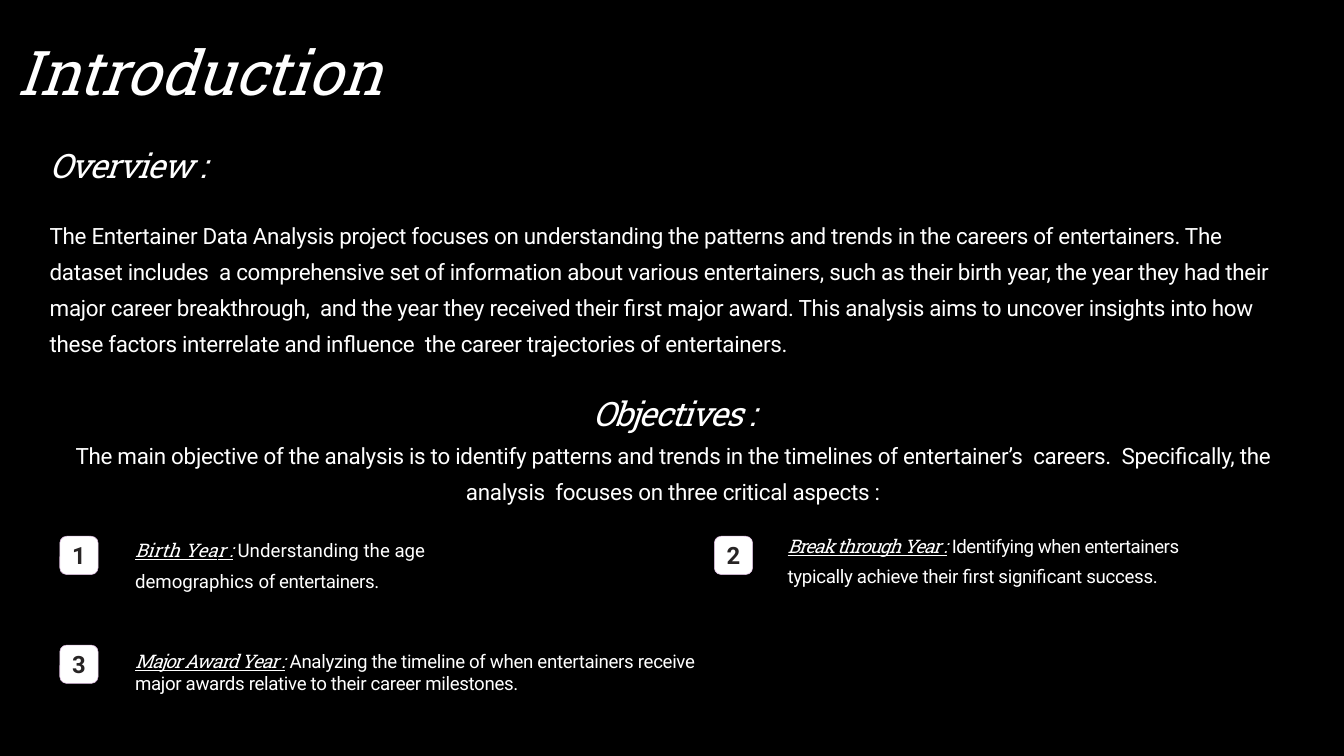
import pptx
import pptx.dml.color
import pptx.enum.shapes
import pptx.enum.text
import pptx.util
from pptx.util import Inches, Pt

RGBColor = pptx.dml.color.RGBColor
Align = pptx.enum.text.PP_ALIGN
Shape = pptx.enum.shapes.MSO_SHAPE
BLACK = RGBColor(0x00, 0x00, 0x00)
WHITE = RGBColor(0xFF, 0xFF, 0xFF)
INK = RGBColor(0x27, 0x24, 0x24)
LILAC = RGBColor(0xDA, 0xB9, 0xDD)
SLAB, SANS, GAP_FONT = "Roboto Slab", "Roboto", "Lato"

SLIDE_SIZE = (20, 11.25)
TITLE = "Introduction"
OVERVIEW = (
    "The Entertainer Data Analysis project focuses on understanding the patterns "
    "and trends in the careers of entertainers. The dataset includes  a "
    "comprehensive set of information about various entertainers, such as their "
    "birth year, the year they had their major career breakthrough,  and the year "
    "they received their first major award. This analysis aims to uncover insights "
    "into how these factors interrelate and influence  the career trajectories of "
    "entertainers."
)
OBJECTIVES = (
    "The main objective of the analysis is to identify patterns and trends in the "
    "timelines of entertainer’s  careers.  Specifically, the analysis  focuses on "
    "three critical aspects :"
)
# Text, size, font, italic, letter spacing, alignment, left margin, line spacing, space before
BODY = [
    ("Overview :", 36, SLAB, True, -1.2, Align.LEFT, 0.01, 1, 0),
    (OVERVIEW, 24, SANS, False, -0.33, Align.LEFT, 0.01, 1.34, 29),
    ("Objectives :", 36, SLAB, True, -1.4, Align.CENTER, 0.07, 1, 39),
    (OBJECTIVES, 24, SANS, False, -0.3, Align.CENTER, 0.04, 1.33, 0),
]
# Badge corner, text box, line spacing, term and its spacing, description and its spacing
ASPECTS = [
    ((0.89, 7.98), (2, 7.89, 6, 0.89), 1.36,
     [("Birth Yea", 0), ("r :", -0.5)],
     [("Understanding the age demographics ", 0), ("of entertainers.", -0.45)]),
    ((10.63, 7.98), (11.71, 7.83, 6.3, 0.89), 1.35,
     [("Break through Year :", -1.2)],
     [("Identifying when entertainers ", -0.53),
      ("typically achieve their first significant success.", -0.33)]),
    ((0.89, 9.6), (2, 9.66, 8.83, 0.69), 1,
     [("Major Award Year :", -1.15)],
     [("Analyzing the timeline of when entertainers receive major awards "
       "relative to their career milestones.", -0.37)]),
]
BADGE = 0.57


def add_run(paragraph, text, size, font, color=WHITE, spacing=0, **styles):
    """Add a run; spacing is letter spacing in points."""
    run = paragraph.add_run()
    run.text = text
    run.font.size = Pt(size)
    run.font.name = font
    run.font.color.rgb = color
    for style, value in styles.items():
        setattr(run.font, style, value)
    if spacing:
        run._r.get_or_add_rPr().set("spc", str(round(spacing * 100)))


def set_margins(frame, top=0.01):
    frame.margin_left = frame.margin_right = frame.margin_bottom = 0
    frame.margin_top = Inches(top)


def add_text_frame(slide, box):
    frame = slide.shapes.add_textbox(*map(Inches, box)).text_frame
    set_margins(frame)
    frame.word_wrap = True
    frame.auto_size = pptx.enum.text.MSO_AUTO_SIZE.SHAPE_TO_FIT_TEXT
    return frame


def set_left_margin(paragraph, inches):
    paragraph._p.get_or_add_pPr().set("marL", str(Inches(inches)))


def add_filled_shape(slide, kind, box, color):
    shape = slide.shapes.add_shape(kind, *map(Inches, box))
    shape.shadow.inherit = False
    shape.fill.solid()
    shape.fill.fore_color.rgb = color
    return shape


def add_badge(slide, corner, number):
    badge = add_filled_shape(slide, Shape.ROUNDED_RECTANGLE, (*corner, BADGE, BADGE), WHITE)
    badge.adjustments[0] = 0.18
    badge.line.color.rgb = LILAC
    badge.line.width = Pt(0.6)
    frame = badge.text_frame
    set_margins(frame, 0)
    frame.vertical_anchor = pptx.enum.text.MSO_ANCHOR.MIDDLE
    paragraph = frame.paragraphs[0]
    paragraph.alignment = Align.CENTER
    add_run(paragraph, str(number), 25.5, SANS, INK, bold=True)


def add_aspect(slide, box, line_spacing, term, description):
    paragraph = add_text_frame(slide, box).paragraphs[0]
    set_left_margin(paragraph, 0.01)
    paragraph.line_spacing = line_spacing
    for text, spacing in term:
        add_run(paragraph, text, 20, SLAB, spacing=spacing, italic=True, underline=True)
    add_run(paragraph, " ", 20, GAP_FONT, spacing=-2.4)
    for text, spacing in description:
        add_run(paragraph, text, 20, SANS, spacing=spacing)


def main():
    deck = pptx.Presentation()
    deck.slide_width, deck.slide_height = map(Inches, SLIDE_SIZE)
    slide = deck.slides.add_slide(deck.slide_layouts[6])
    backdrop = add_filled_shape(slide, Shape.RECTANGLE, (0, 0, *SLIDE_SIZE), BLACK)
    backdrop.line.fill.background()

    title = add_text_frame(slide, (0.23, 0.5, 7.05, 1.12)).paragraphs[0]
    set_left_margin(title, 0.01)
    add_run(title, TITLE, 66, SLAB, italic=True)

    body = add_text_frame(slide, (0.73, 2.15, 18.53, 5.88))
    for index, (text, size, font, italic, spacing, align, margin, lines, before) in enumerate(BODY):
        paragraph = body.add_paragraph() if index else body.paragraphs[0]
        set_left_margin(paragraph, margin)
        paragraph.alignment = align
        paragraph.line_spacing = lines
        if before:
            paragraph.space_before = Pt(before)
        add_run(paragraph, text, size, font, spacing=spacing, italic=italic)

    for number, (corner, *aspect) in enumerate(ASPECTS, 1):
        add_badge(slide, corner, number)
        add_aspect(slide, *aspect)

    deck.save("out.pptx")


if __name__ == "__main__":
    main()
